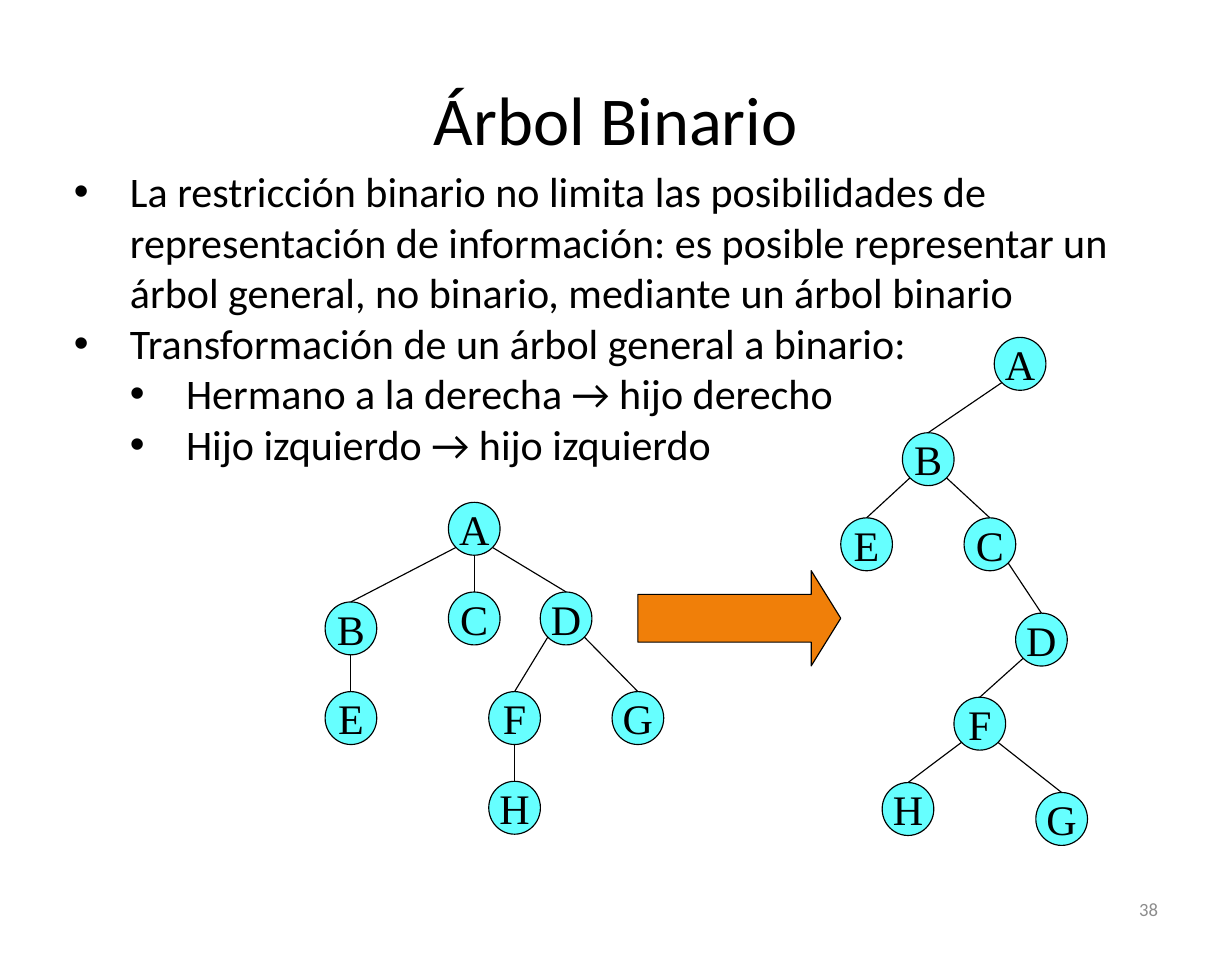
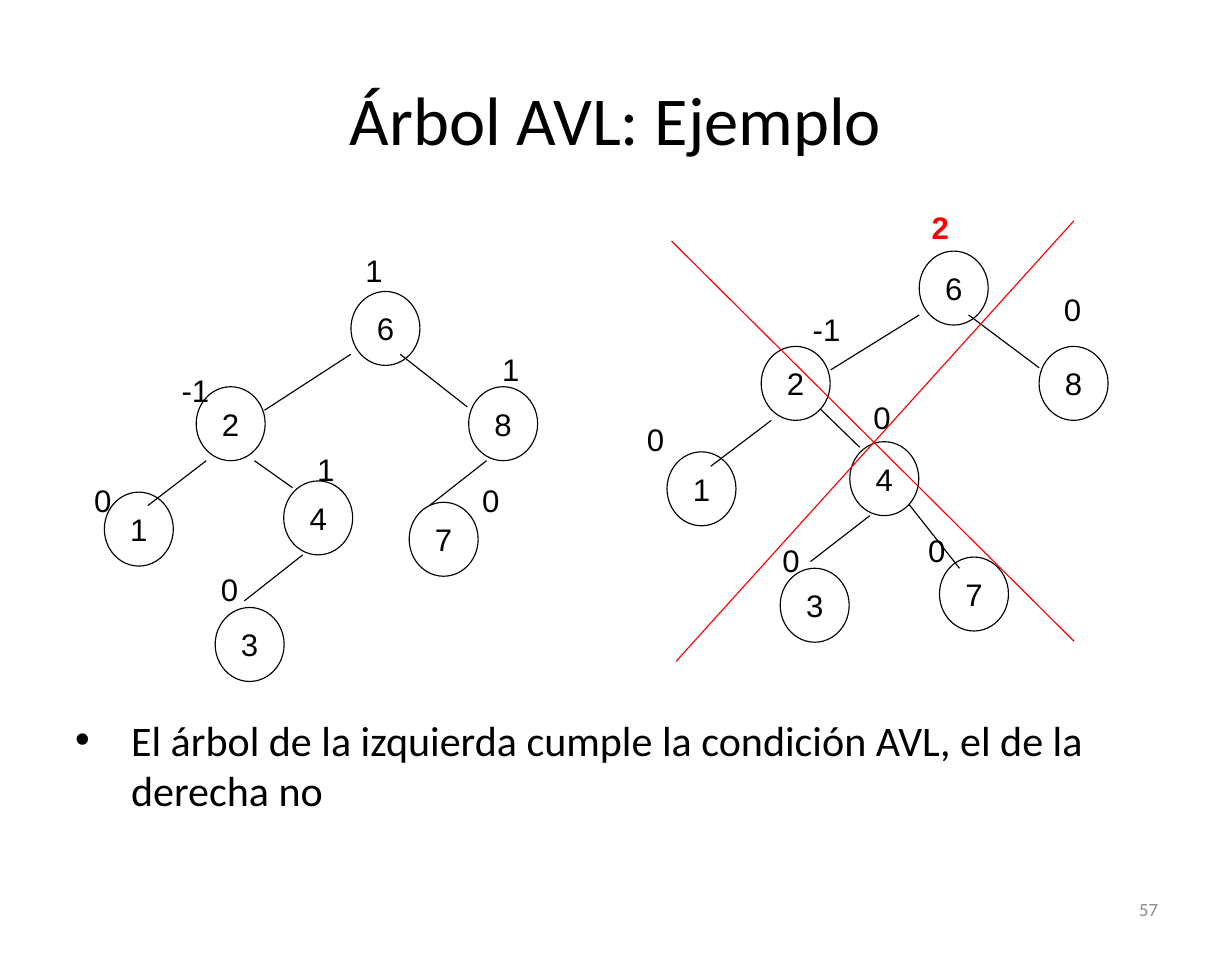
from lxml import etree
from pptx import Presentation
from pptx.dml.color import RGBColor
from pptx.enum import shapes, text
from pptx.oxml import ns
from pptx.util import Pt

BLACK = RGBColor(0x00, 0x00, 0x00)
GRAY = RGBColor(0x8C, 0x8C, 0x8C)
RED = RGBColor(0xFF, 0x00, 0x00)
CYAN = RGBColor(0x66, 0xFF, 0xFF)
ORANGE = RGBColor(0xF0, 0x7F, 0x09)

# Text formats
TITLE = dict(name="Calibri", size=Pt(44))
BODY = dict(name="Calibri", size=Pt(27))
LETTER = dict(name="Times New Roman", size=Pt(27))
DIGIT = dict(name="Arial", size=Pt(20))
PAGE = dict(name="Calibri", size=Pt(12))

# Content: bullets are (level, text); places are (left, top) in points
BINARY_BULLETS = [
    (0, "La restricción binario no limita las posibilidades de representación "
        "de información: es posible representar un árbol general, no binario, "
        "mediante un árbol binario"),
    (0, "Transformación de un árbol general a binario:"),
    (1, "Hermano a la derecha → hijo derecho"),
    (1, "Hijo izquierdo → hijo izquierdo"),
]
AVL_BULLETS = [
    (0, "El árbol de la izquierda cumple la condición AVL, el de la derecha no"),
]

# Letter trees: nodes and parent-child pairs
GENERAL_TREE = (
    {"A": (288, 322.6), "B": (208.8, 386.6), "C": (288, 380.2), "D": (347, 380.2),
     "E": (208.8, 444.2), "F": (313.9, 444.2), "G": (393.1, 444.2),
     "H": (313.9, 501.8)},
    "AB AC AD BE DF DG FH")
BINARY_TREE = (
    {"A": (638.6, 216.7), "B": (579.6, 277.9), "C": (619.2, 332.6),
     "D": (652.3, 393.8), "E": (540, 332.6), "F": (612.7, 447.8),
     "G": (665.3, 509), "H": (566.6, 502.6)},
    "AB BE BC CD DF FH FG")
LETTER_NODE = (33.2, 34)

# AVL trees: nodes, edges (x1, y1, x2, y2) and balance factors
BALANCED_TREE = (
    {"6": (225.4, 187.2), "8": (301, 248.4), "7": (262.8, 322.6),
     "4": (182.2, 308.9), "1": (67, 316.1), "2": (126, 248.4), "3": (138.2, 390.2)},
    [(225.4, 227.5, 169.9, 263.5), (132.5, 295.9, 95, 324.7),
     (194.4, 356.4, 157, 385.9), (312.5, 295.9, 275.8, 324.7),
     (257, 227.5, 300.2, 261.4), (163.4, 295.9, 187.9, 313.2)],
    [("-1", 108.7, 234), ("0", 133.9, 362.2), ("0", 52.6, 304.6), ("1", 195.8, 285.1),
     ("0", 301.7, 304.6), ("1", 314.6, 221), ("1", 226.8, 157)])
UNBALANCED_TREE = (
    {"6": (590.4, 161.3), "8": (667.4, 222.5), "7": (603.4, 357.8),
     "4": (545.8, 283.7), "1": (428.4, 290.2), "2": (488.9, 222.5), "3": (501.1, 365)},
    [(590.4, 202.3, 533.5, 237.6), (495.4, 270, 456.5, 299.5),
     (558.7, 331.2, 520.6, 360.7), (622.1, 202.3, 667.4, 236.2),
     (527, 262.8, 552.2, 287.3), (583.9, 324, 616.3, 365)],
    [("0", 494.6, 343.4), ("0", 588.2, 337), ("0", 553, 251.3), ("0", 407.5, 265.7),
     ("-1", 514.1, 195.1), ("0", 675.4, 182.2), ("2", 590.4, 129.6)])
DIGIT_NODE = (44.3, 47.5)
LABEL_WIDTH = {"0": 27.4, "1": 27.4, "2": 27.4, "-1": 33.8}
CROSS = [(431.3, 154.8, 689.8, 411.8), (689.8, 141.8, 434.2, 424.8)]


def points(*values):
    return [Pt(v) for v in values]


def format_font(font, style, color=BLACK):
    for key, value in style.items():
        setattr(font, key, value)
    font.color.rgb = color


def set_frame(frame, inset=(0, 0), wrap=False, anchor=text.MSO_ANCHOR.TOP):
    across, down = points(*inset)
    settings = dict(margin_left=across, margin_right=across, margin_top=down,
                    margin_bottom=down, word_wrap=wrap, vertical_anchor=anchor)
    for key, value in settings.items():
        setattr(frame, key, value)


def write(paragraph, words, style, color=BLACK, align=text.PP_ALIGN.LEFT):
    paragraph.alignment = align
    run = paragraph.add_run()
    run.text = words
    format_font(run.font, style, color)


def add_text(slide, box, words, style, color=BLACK, align=text.PP_ALIGN.LEFT, **frame):
    area = slide.shapes.add_textbox(*points(*box)).text_frame
    set_frame(area, **frame)
    write(area.paragraphs[0], words, style, color, align)


def add_bullets(slide, box, bullets):
    area = slide.shapes.add_textbox(*points(*box)).text_frame
    set_frame(area, inset=(7.9, 4.3), wrap=True)
    for i, (level, words) in enumerate(bullets):
        paragraph = area.add_paragraph() if i else area.paragraphs[0]
        paragraph.level = level
        write(paragraph, words, BODY)
        props = paragraph._p.get_or_add_pPr()
        props.set("marL", str(Pt(36 * (level + 1))))
        props.set("indent", str(-Pt(36)))
        etree.SubElement(props, ns.qn("a:buFont"), typeface="Arial")
        etree.SubElement(props, ns.qn("a:buChar"), char="•")


def add_outlined(slide, kind, box, fill=None):
    shape = slide.shapes.add_shape(kind, *points(*box))
    shape.shadow.inherit = False
    if fill is None:
        shape.fill.background()
    else:
        shape.fill.solid()
        shape.fill.fore_color.rgb = fill
    shape.line.color.rgb = BLACK
    shape.line.width = Pt(0.75)
    return shape


def add_line(slide, ends, color=BLACK):
    line = slide.shapes.add_connector(shapes.MSO_CONNECTOR.STRAIGHT, *points(*ends))
    line.line.color.rgb = color
    line.line.width = Pt(0.75)
    etree.SubElement(line._element.spPr, ns.qn("a:effectLst"))


def add_nodes(slide, nodes, size, style, fill=None):
    for name, place in nodes.items():
        node = add_outlined(slide, shapes.MSO_SHAPE.OVAL, (*place, *size), fill)
        set_frame(node.text_frame, anchor=text.MSO_ANCHOR.MIDDLE)
        write(node.text_frame.paragraphs[0], name, style, align=text.PP_ALIGN.CENTER)


def branch(parent, child):
    """Ends of an edge: the parent's lower rim to the top of the child."""
    width, height = LETTER_NODE
    side = (child[0] > parent[0]) - (child[0] < parent[0])
    reach = 0.5 + 0.354 * side
    drop = 0.854 if side else 1
    return (parent[0] + width * reach, parent[1] + height * drop,
            child[0] + width / 2, child[1])


def start_slide(title, number):
    slide = deck.slides.add_slide(deck.slide_layouts[5])
    heading = slide.shapes.title
    heading.left, heading.top, heading.width, heading.height = points(39.6, 24.5, 712.1, 102.2)
    heading.text_frame.vertical_anchor = text.MSO_ANCHOR.MIDDLE
    write(heading.text_frame.paragraphs[0], title, TITLE, align=text.PP_ALIGN.CENTER)
    add_text(slide, (566.6, 567.4, 184.3, 32.4), number, PAGE, GRAY,
             text.PP_ALIGN.RIGHT, inset=(7.2, 3.6), wrap=True,
             anchor=text.MSO_ANCHOR.MIDDLE)
    return slide


deck = Presentation()
deck.slide_width, deck.slide_height = points(791.3, 612.7)

# Binary tree: from a general tree to a binary one
slide = start_slide("Árbol Binario", "38")
add_bullets(slide, (39.6, 102.2, 725, 204.5), BINARY_BULLETS)
for nodes, edges in (BINARY_TREE, GENERAL_TREE):
    add_nodes(slide, nodes, LETTER_NODE, LETTER, CYAN)
    for parent, child in edges.split():
        add_line(slide, branch(nodes[parent], nodes[child]))
arrow = add_outlined(slide, shapes.MSO_SHAPE.RIGHT_ARROW, (409.7, 366.5, 130.3, 61.2), ORANGE)
arrow.adjustments[1] = 0.31

# AVL example: valid tree on the left, crossed-out tree on the right
slide = start_slide("Árbol AVL: Ejemplo", "57")
add_bullets(slide, (40.3, 454.3, 725, 73.4), AVL_BULLETS)
for nodes, edges, balances in (BALANCED_TREE, UNBALANCED_TREE):
    add_nodes(slide, nodes, DIGIT_NODE, DIGIT)
    for ends in edges:
        add_line(slide, ends)
    for factor, left, top in balances:
        broken = factor == "2"
        add_text(slide, (left, top, LABEL_WIDTH[factor], 32.4), factor,
                 dict(DIGIT, bold=broken), RED if broken else BLACK, inset=(7.9, 4.3))
for ends in CROSS:
    add_line(slide, ends, RED)

deck.save("out.pptx")
